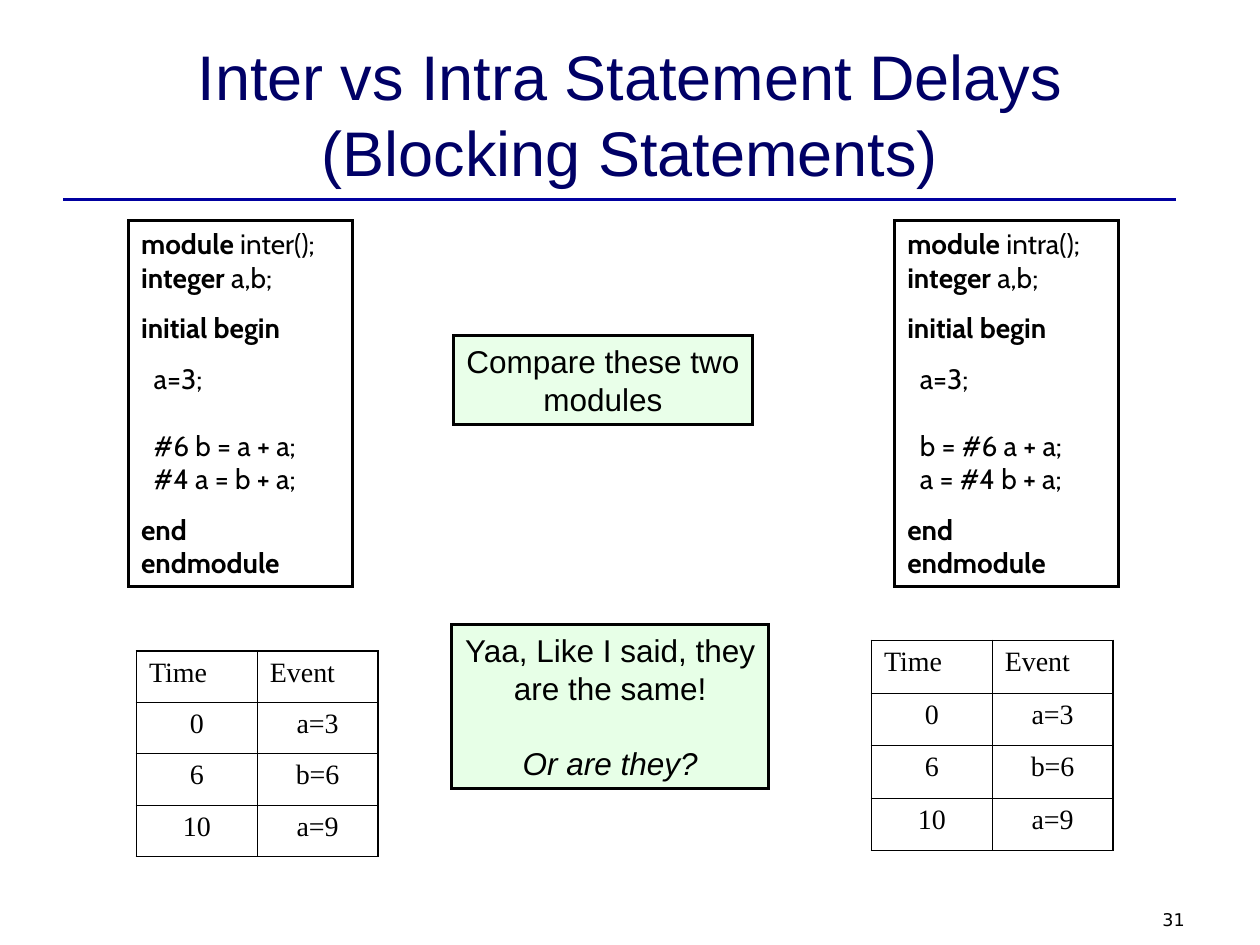
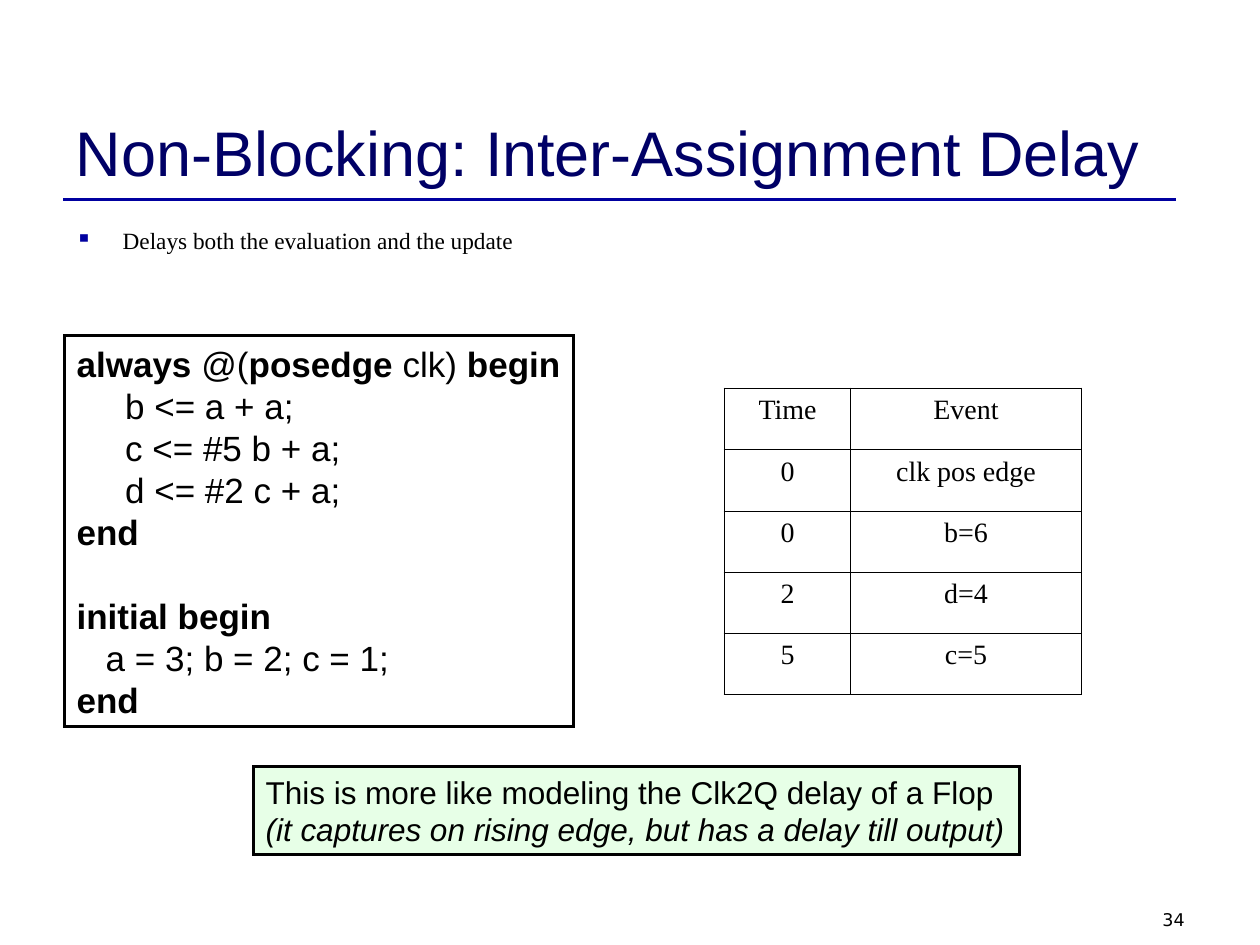
from lxml import etree
from pptx import Presentation
from pptx.dml.color import RGBColor
from pptx.enum.shapes import MSO_CONNECTOR, MSO_SHAPE
from pptx.enum.text import MSO_ANCHOR, MSO_AUTO_SIZE, PP_ALIGN
from pptx.oxml.ns import qn
from pptx.util import Pt

LEFT, MID, RIGHT = PP_ALIGN.LEFT, PP_ALIGN.CENTER, PP_ALIGN.RIGHT
TOP, BOTTOM = MSO_ANCHOR.TOP, MSO_ANCHOR.BOTTOM
GROW, FIXED = MSO_AUTO_SIZE.SHAPE_TO_FIT_TEXT, MSO_AUTO_SIZE.NONE
RECT, STRAIGHT = MSO_SHAPE.RECTANGLE, MSO_CONNECTOR.STRAIGHT

BLACK = RGBColor(0x00, 0x00, 0x00)
NAVY = RGBColor(0x00, 0x00, 0x66)
BLUE = RGBColor(0x00, 0x00, 0xA0)
MINT = RGBColor(0xCC, 0xFF, 0xCC)
SANS, SERIF, CODE, SMALL = "Arial", "Times New Roman", "Cabin", "DejaVu Sans"
PITCH = 1.2  # line height per point of text size
THICK, THIN = 1.08, 0.45


def sub(node, tag, **attrs):
    return etree.SubElement(node, qn(tag), **attrs)


def pad(frame):
    frame.margin_left = frame.margin_right = Pt(7.2)
    frame.margin_top = frame.margin_bottom = Pt(3.6)


def style(para, font, size, color=BLACK, align=LEFT, pitch=True):
    para.alignment = align
    if pitch:
        para.line_spacing = Pt(round(size * PITCH, 2))
    para.font.name, para.font.size = font, Pt(size)
    para.font.color.rgb = color


def write(para, text):
    """Add runs; parts between ** marks are bold."""
    for i, part in enumerate(text.split("**")):
        if part:
            run = para.add_run()
            run.text = part
            run.font.bold = i % 2 == 1


def label(slide, box, text):
    """Text box with one paragraph, which is returned."""
    frame = slide.shapes.add_textbox(*map(Pt, box)).text_frame
    frame.word_wrap = True
    pad(frame)
    para = frame.paragraphs[0]
    para.text = text
    return para


def base(deck, title, number, align):
    """Slide with title, rule and page number."""
    slide = deck.slides.add_slide(deck.slide_layouts[5])

    # Title
    head = slide.shapes.title
    head.left, head.top, head.width, head.height = map(Pt, (36, 21.6, 648, 90))
    frame = head.text_frame
    frame.text = title
    frame.word_wrap = True
    frame.auto_size = FIXED
    frame.vertical_anchor = BOTTOM
    pad(frame)
    style(frame.paragraphs[0], SANS, 36, NAVY, align)

    # Rule under the title
    rule = slide.shapes.add_connector(STRAIGHT, Pt(36), Pt(114), Pt(672), Pt(114))
    rule.line.color.rgb = BLUE
    rule.line.width = Pt(1.5)
    sub(rule._element.spPr, "a:effectLst")

    # Page number
    style(label(slide, (516, 516, 168, 18), number), SMALL, 10,
          align=RIGHT, pitch=False)
    return slide


def panel(slide, box, lines, font, size, align=LEFT, gaps=None, alpha=None,
          slant=False):
    """Framed lines; gaps maps line index to space before, slant the last line."""
    shape = slide.shapes.add_shape(RECT, *map(Pt, box))
    shape.shadow.inherit = False
    shape.line.color.rgb = BLACK
    shape.line.width = Pt(1.75)
    sub(shape._element.spPr.find(qn("a:ln")), "a:miter", lim="800000")
    if alpha is None:
        shape.fill.background()
    else:
        shape.fill.solid()
        shape.fill.fore_color.rgb = MINT
        tint = shape._element.spPr.find(".//" + qn("a:srgbClr"))
        sub(tint, "a:alpha", val=str(alpha * 1000))

    frame = shape.text_frame
    frame.word_wrap = False
    frame.auto_size = GROW
    frame.vertical_anchor = TOP
    pad(frame)
    for i, line in enumerate(lines):
        para = frame.paragraphs[0] if i == 0 else frame.add_paragraph()
        write(para, line)
        style(para, font, size, align=align)
        if gaps and i in gaps:
            para.space_before = Pt(gaps[i])
    if slant:
        para.font.italic = True


def border(cell, sides):
    """Draw the four borders; sides holds widths by L, R, T, B."""
    props = cell._tc.get_or_add_tcPr()
    for i, (side, width) in enumerate(sides.items()):
        line = etree.Element(qn("a:ln" + side), w=str(int(Pt(width))))
        sub(sub(line, "a:solidFill"), "a:srgbClr", val=str(BLACK))
        props.insert(i, line)


def grid(slide, box, widths, rows, top=MID):
    """Table of times and events; top aligns the heading row."""
    frame = slide.shapes.add_table(len(rows), len(widths), *map(Pt, box))
    table = frame.table
    table.first_row = table.horz_banding = False
    for col, width in zip(table.columns, widths):
        col.width = Pt(width)
    last, end = len(rows) - 1, len(widths) - 1
    for r, row in enumerate(rows):
        table.rows[r].height = Pt(round(box[3] / len(rows), 2))
        for c, text in enumerate(row):
            cell = table.cell(r, c)
            cell.text = text
            cell.fill.background()
            pad(cell)
            style(cell.text_frame.paragraphs[0], SERIF, 16,
                  align=top if r == 0 else MID, pitch=False)
            edges = {"L": c == 0, "R": c == end, "T": r == 0, "B": r == last}
            border(cell, {k: THICK if v else THIN for k, v in edges.items()})


def bullet(slide, box, text):
    """One line with a square bullet."""
    para = label(slide, box, text)
    props = para._p.get_or_add_pPr()
    props.set("marL", str(int(Pt(27))))
    props.set("indent", str(int(Pt(-27))))
    sub(sub(props, "a:buClr"), "a:srgbClr", val=str(BLUE))
    sub(props, "a:buSzPct", val="100000")
    sub(props, "a:buChar", char="▪")
    style(para, SERIF, 13.3)


def module(slide, box, name, steps):
    """Listing of one module with its two delayed statements."""
    lines = [f"**module** {name}();", "**integer** a,b;", "**initial begin**",
             "  a=3;", *steps, "**end**", "**endmodule**"]
    half, full = 9.6, 19.2
    panel(slide, box, lines, CODE, 16,
          gaps={2: half, 3: half, 4: full, 6: half})


def blocking(deck):
    slide = base(deck, "Inter vs Intra Statement Delays (Blocking Statements)",
                 "31", MID)
    # Modules to compare
    module(slide, (73.6, 126, 128, 209), "inter",
           ["  #6 b = a + a;", "  #4 a = b + a;"])
    module(slide, (511.4, 126, 128, 209), "intra",
           ["  b = #6 a + a;", "  a = #4 b + a;"])

    # Event tables
    rows = [("Time", "Event"), ("0", "a=3"), ("6", "b=6"), ("10", "a=9")]
    for box in ((78, 372, 138, 117.4), (498, 366, 138, 120)):
        grid(slide, box, (69, 69), rows, LEFT)

    # Remarks
    panel(slide, (259, 192, 171, 50.4), ["Compare these two", "modules"],
          SANS, 18, MID, alpha=43)
    panel(slide, (258, 357, 181.4, 93.6),
          ["Yaa, Like I said, they", "are the same!", "Or are they?"],
          SANS, 18, MID, gaps={2: 21.6}, alpha=47, slant=True)


def delay(deck):
    slide = base(deck, "Non-Blocking: Inter-Assignment Delay", "34", LEFT)
    bullet(slide, (36, 126, 564, 42), "Delays both the evaluation and the update")

    # Code
    panel(slide, (36.7, 192, 291, 223.2),
          ["**always** @(**posedge** clk) **begin**", "     b <= a + a;",
           "     c <= #5 b + a;", "     d <= #2 c + a;", "**end**",
           "**initial begin**", "   a = 3; b = 2; c = 1;", "**end**"],
          SANS, 20, gaps={5: 24})

    # Event table
    grid(slide, (414, 222, 204, 175), (72, 132),
         [("Time", "Event"), ("0", "clk pos edge"), ("0", "b=6"),
          ("2", "d=4"), ("5", "c=5")])

    # Remark
    panel(slide, (144.7, 438, 438, 50.4),
          ["This is more like modeling the Clk2Q delay of a Flop",
           "(it captures on rising edge, but has a delay till output)"],
          SANS, 18, alpha=47, slant=True)


def main():
    deck = Presentation()
    deck.slide_width, deck.slide_height = Pt(720), Pt(540)
    blocking(deck)
    delay(deck)
    deck.save("out.pptx")


if __name__ == "__main__":
    main()
